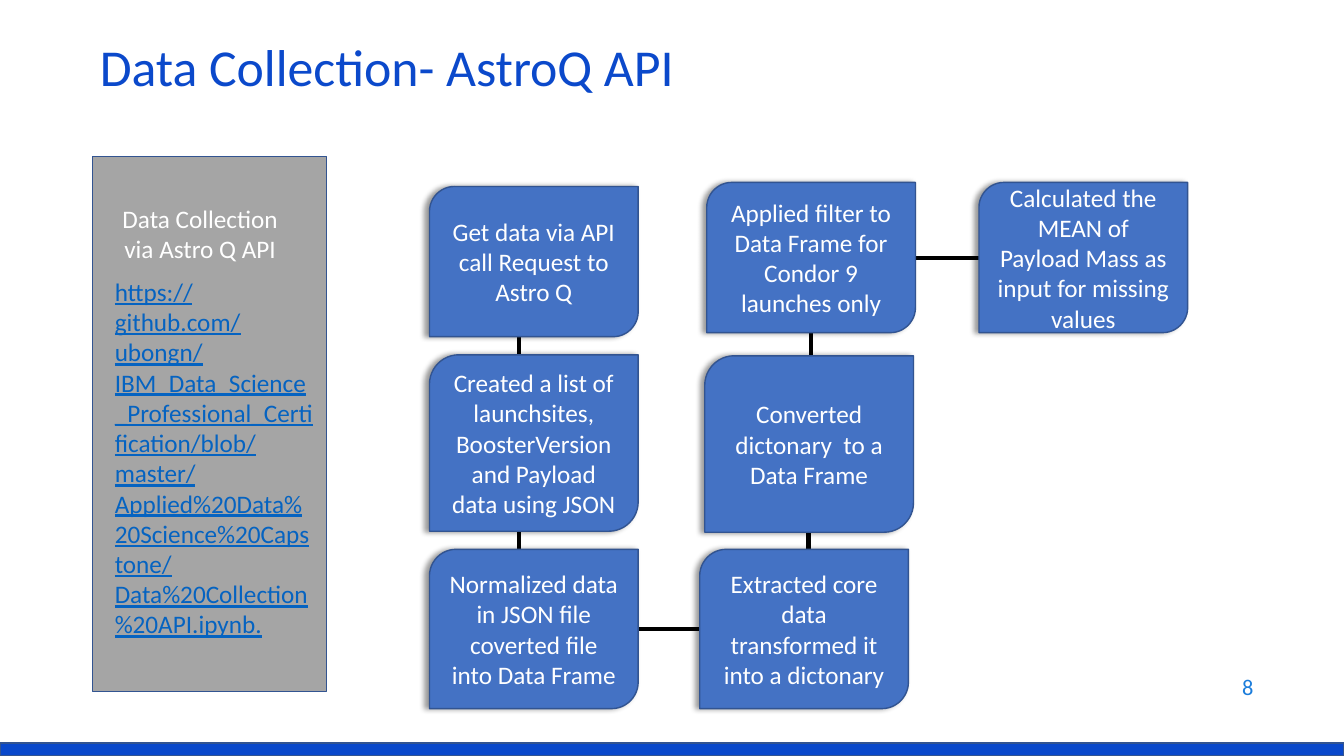
from lxml.etree import SubElement
from pptx import Presentation
from pptx.dml.color import RGBColor
from pptx.enum.shapes import MSO_CONNECTOR, MSO_SHAPE
from pptx.enum.text import MSO_ANCHOR as ANCHOR, MSO_AUTO_SIZE, PP_ALIGN as ALIGN
from pptx.oxml.ns import qn
from pptx.util import Emu, Inches, Pt

WIDTH, HEIGHT = 13.33, 7.5
FONT = "Calibri"
WHITE, BLACK, OUTLINE = "FFFFFF", "000000", "325491"
STEP_FILL, PANEL_FILL, BAR_FILL = "4472C4", "A5A5A5", "0948CB"
TITLE_COLOR, NUMBER_COLOR, LINK_COLOR = "0B49CB", "1C7DDB", "0563C1"

STEP_WIDTH = 2.07
# left, top, height, wording
STEPS = [
    (4.26, 1.85, 1.49, "Get data via API call Request to Astro Q"),
    (4.26, 3.52, 1.75, "Created a list of launchsites, BoosterVersion and Payload data using JSON"),
    (4.26, 5.45, 1.58, "Normalized data in JSON file coverted file into Data Frame"),
    (6.94, 5.45, 1.58, "Extracted core data transformed it into a dictonary"),
    (6.99, 3.53, 1.75, "Converted dictonary  to a Data Frame"),
    (7.01, 1.81, 1.49, "Applied filter to Data Frame for Condor 9 launches only"),
    (9.71, 1.81, 1.49, "Calculated the MEAN of Payload Mass as input for missing values"),
]
# start x, start y, end x, end y
LINKS = [
    (5.15, 3.3, 5.15, 3.53),
    (5.15, 5.13, 5.15, 5.56),
    (6.32, 6.24, 7.01, 6.24),
    (8.02, 5.56, 8.02, 5.29),
    (8.04, 3.75, 8.04, 3.3),
    (9.07, 2.56, 9.82, 2.56),
]
NOTEBOOK_URL = (
    "https://github.com/ubongn/IBM_Data_Science_Professional_Certification/blob/master/"
    "Applied%20Data%20Science%20Capstone/Data%20Collection%20API.ipynb."
)


def color(hex_text):
    return RGBColor.from_string(hex_text)


def write(shape, text, size, hex_text, align=ALIGN.LEFT, anchor=ANCHOR.MIDDLE):
    """Put one run of text in the shape and return its paragraph."""
    frame = shape.text_frame
    frame.word_wrap = True
    frame.auto_size = MSO_AUTO_SIZE.NONE
    frame.vertical_anchor = anchor
    paragraph = frame.paragraphs[0]
    paragraph.alignment = align
    run = paragraph.add_run()
    run.text = text
    run.font.name = FONT
    run.font.size = Pt(size)
    run.font.color.rgb = color(hex_text)
    return paragraph


def add_box(slide, kind, box, fill):
    shape = slide.shapes.add_shape(kind, *map(Inches, box))
    shape.fill.solid()
    shape.fill.fore_color.rgb = color(fill)
    shape.line.color.rgb = color(OUTLINE)
    shape.line.width = Pt(1)
    shape.shadow.inherit = False
    return shape


def add_text(slide, box, *args, **options):
    return write(slide.shapes.add_textbox(*map(Inches, box)), *args, **options)


def cast_shadow(shape):
    """Give the shape a soft shadow to its left."""
    effects = shape._element.spPr.find(qn("a:effectLst"))
    shadow = SubElement(effects, qn("a:outerShdw"), blurRad=str(Pt(4)), dist=str(Pt(3)),
                        dir="10800000", algn="r", rotWithShape="0")
    shade = SubElement(shadow, qn("a:srgbClr"), val=BLACK)
    SubElement(shade, qn("a:alpha"), val="40000")


def add_title(slide, box):
    title = slide.shapes.title
    title.left, title.top, title.width, title.height = map(Inches, box)
    write(title, "Data Collection- AstroQ API", 37, TITLE_COLOR).line_spacing = 0.7


def add_flow(slide):
    for link in LINKS:
        line = slide.shapes.add_connector(MSO_CONNECTOR.STRAIGHT, *map(Inches, link))
        line.line.color.rgb = color(BLACK)
        line.line.width = Pt(3)
        SubElement(line._element.spPr, qn("a:effectLst"))
    for left, top, height, text in STEPS:
        step = add_box(slide, MSO_SHAPE.ROUND_2_DIAG_RECTANGLE,
                       (left, top, STEP_WIDTH, height), STEP_FILL)
        cast_shadow(step)
        write(step, text, 18, WHITE, ALIGN.CENTER)


def add_source_panel(slide, box):
    left, top, width, height = box
    add_box(slide, MSO_SHAPE.RECTANGLE, box, PANEL_FILL)
    add_text(slide, (left + 0.04, top + 0.42, 2.05, 0.71),
             "Data Collection via Astro Q API", 18, WHITE, ALIGN.CENTER, ANCHOR.TOP)
    address = add_text(slide, (left + 0.12, top + 1.14, width - 0.15, height - 1.3),
                       NOTEBOOK_URL, 18, LINK_COLOR, anchor=ANCHOR.TOP)
    address.runs[0].font.underline = True


def add_footer(slide, height):
    add_box(slide, MSO_SHAPE.RECTANGLE, (0, HEIGHT - height, WIDTH, height), BAR_FILL)
    add_text(slide, (9.53, 6.59, 3, 0.44), "8", 16, NUMBER_COLOR, ALIGN.RIGHT)


def main():
    presentation = Presentation()
    presentation.slide_width = Emu(Inches(WIDTH))
    presentation.slide_height = Inches(HEIGHT)
    slide = presentation.slides.add_slide(presentation.slide_layouts[5])
    add_title(slide, (0.89, 0.43, 11.5, 0.6))
    add_flow(slide)
    add_source_panel(slide, (0.92, 1.55, 2.32, 5.31))
    add_footer(slide, 0.13)
    presentation.save("out.pptx")


if __name__ == "__main__":
    main()
